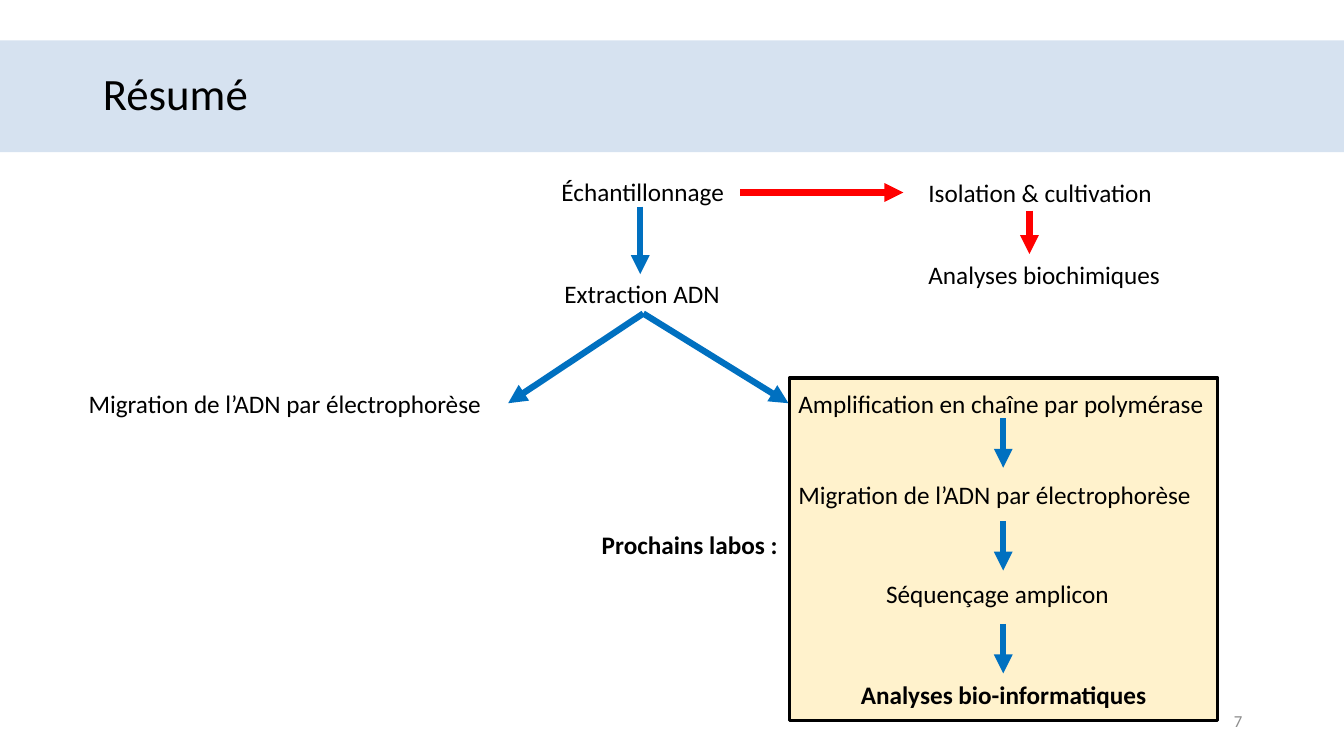
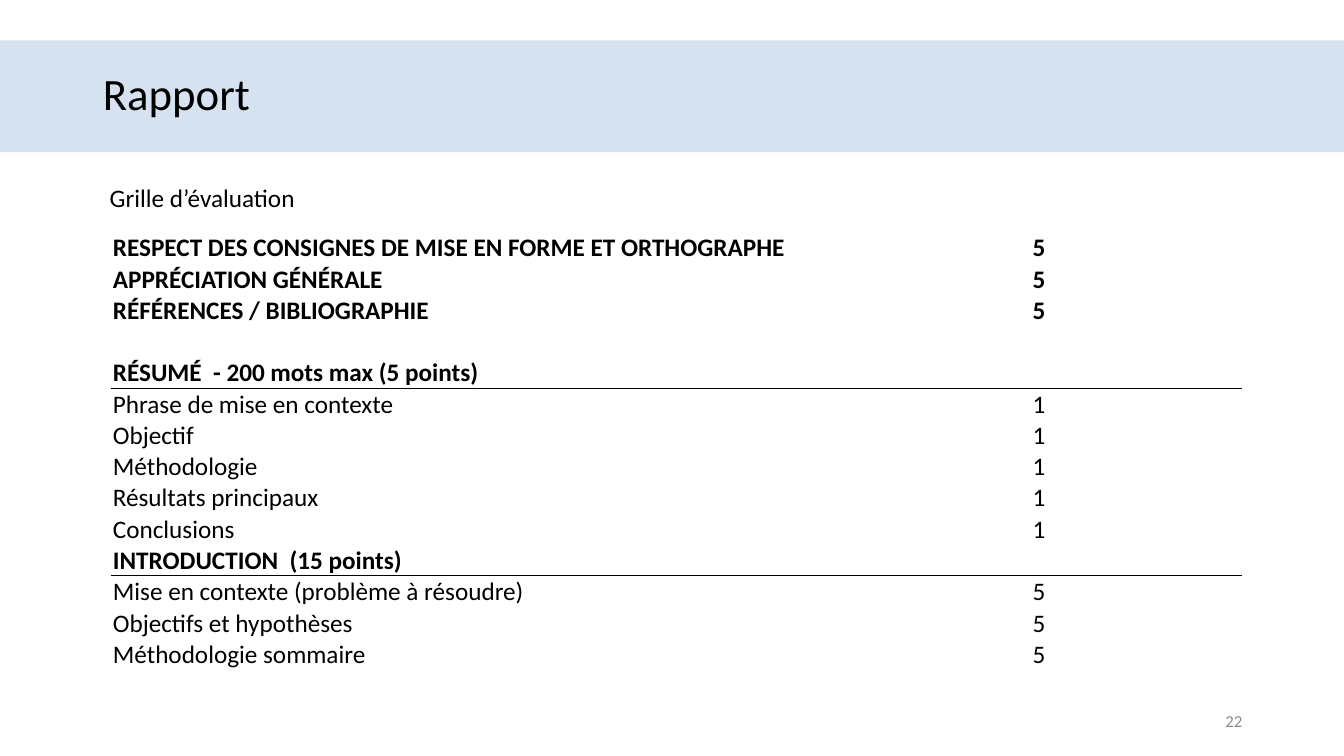
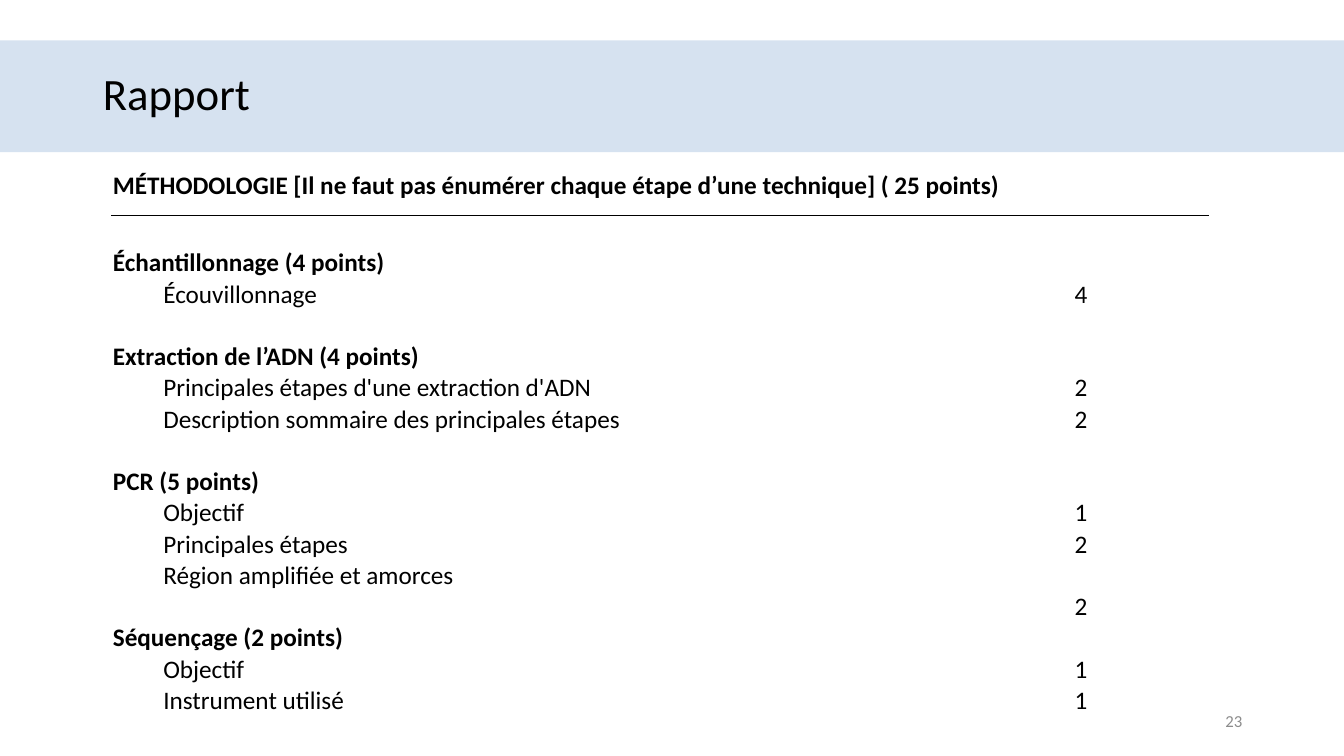
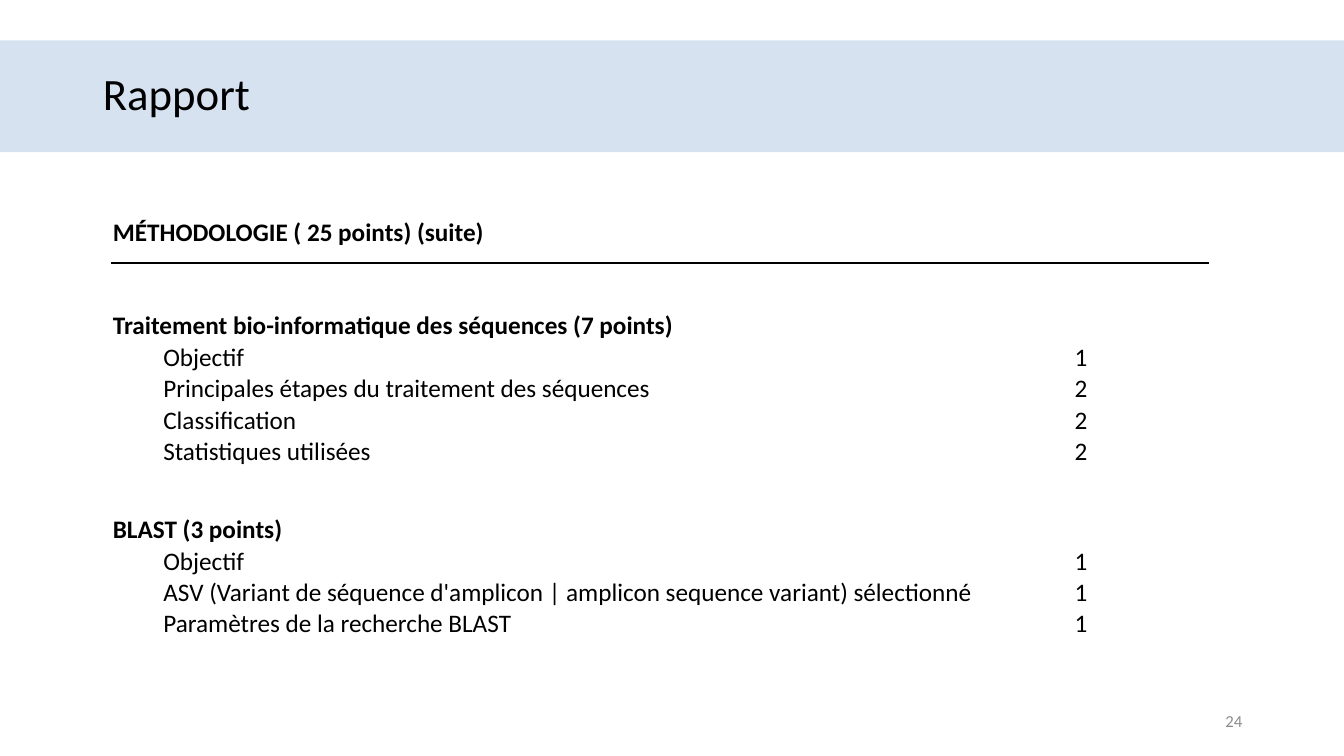
from dataclasses import dataclass

from lxml import etree
from pptx import Presentation
from pptx.dml.color import RGBColor
from pptx.enum.shapes import MSO_CONNECTOR, MSO_SHAPE
from pptx.enum.text import MSO_ANCHOR, MSO_AUTO_SIZE, PP_ALIGN
from pptx.oxml.ns import qn
from pptx.util import Inches, Pt

RECTANGLE = MSO_SHAPE.RECTANGLE
STRAIGHT = MSO_CONNECTOR.STRAIGHT
MIDDLE, BOTTOM, TOP = MSO_ANCHOR.MIDDLE, MSO_ANCHOR.BOTTOM, MSO_ANCHOR.TOP
LEFT, CENTER, RIGHT = PP_ALIGN.LEFT, PP_ALIGN.CENTER, PP_ALIGN.RIGHT
FIT_SHAPE = MSO_AUTO_SIZE.SHAPE_TO_FIT_TEXT
LEFT_SIDE, BOTTOM_SIDE, RIGHT_SIDE = 1, 2, 3

FONT = "Calibri"
COLORS = {
    "band": "AEC7E3",
    "text": "000000",
    "number": "8C8C8C",
    "panel": "FFF2CC",
    "dna": "0070C0",
    "culture": "FF0000",
}
LINE_HEIGHT = 0.31
BAND_BOX = (0, 0.4, 13.33, 1.11)
TITLE_BOX = (0.92, 0.4, 11.5, 1.11)
NUMBER_BOX = (9.42, 6.95, 3, 0.4)


@dataclass
class Row:
    """One line of the marking grid."""

    label: str = ""
    value: str = ""
    bold: bool = False
    ruled: bool = False
    height: float = LINE_HEIGHT
    label_anchor: object = BOTTOM


def color(name):
    """Return a named colour of the palette."""
    return RGBColor.from_string(COLORS[name])


def inches(box):
    """Turn a box of numbers into lengths."""
    return [Inches(length) for length in box]


def add_run(paragraph, text, size=18, bold=False, color_name="text"):
    """Add one formatted run to a paragraph."""
    run = paragraph.add_run()
    run.text = text
    run.font.name = FONT
    run.font.size = Pt(size)
    run.font.bold = bold
    run.font.color.rgb = color(color_name)


def add_rectangle(slide, box, fill_name):
    """Add a plain filled rectangle."""
    shape = slide.shapes.add_shape(RECTANGLE, *inches(box))
    shape.shadow.inherit = False
    shape.fill.solid()
    shape.fill.fore_color.rgb = color(fill_name)
    shape.line.fill.background()
    return shape


def add_label(slide, left, top, width, text, bold=False):
    """Add a one-line label that does not wrap."""
    label = slide.shapes.add_textbox(*inches((left, top, width, 0.4)))
    frame = label.text_frame
    frame.word_wrap = False
    frame.auto_size = FIT_SHAPE
    add_run(frame.paragraphs[0], text, bold=bold)
    return label


def add_arrow(slide, start, end, color_name="dna"):
    """Add a thick straight arrow between two points."""
    arrow = slide.shapes.add_connector(STRAIGHT, *inches(start + end))
    arrow.line.width = Pt(4.5)
    arrow.line.color.rgb = color(color_name)
    etree.SubElement(arrow.line._get_or_add_ln(), qn("a:tailEnd"), type="triangle")
    etree.SubElement(arrow.element.spPr, qn("a:effectLst"))
    return arrow


def add_master_band(presentation, slide):
    """Put the translucent title band on the slide master."""
    band = add_rectangle(slide, BAND_BOX, "band")
    fill_color = band.element.spPr.find(qn("a:solidFill"))[0]
    etree.SubElement(fill_color, qn("a:alpha"), val="50000")
    presentation.slide_master.shapes.element.insert(2, band.element)


def add_titled_slide(presentation, layout, title, number):
    """Add a slide with its title and its number."""
    slide = presentation.slides.add_slide(layout)
    frame = slide.shapes.title.text_frame
    frame.vertical_anchor = MIDDLE
    paragraph = frame.paragraphs[0]
    paragraph.alignment = LEFT
    paragraph.line_spacing = 0.9
    add_run(paragraph, title, size=32)

    number_frame = slide.shapes.add_textbox(*inches(NUMBER_BOX)).text_frame
    number_frame.word_wrap = True
    number_frame.vertical_anchor = MIDDLE
    number_frame.paragraphs[0].alignment = RIGHT
    add_run(number_frame.paragraphs[0], str(number), size=12, color_name="number")
    return slide


def add_next_labs(slide, left, top):
    """Draw the panel of the coming labs and return its first step."""
    panel = add_rectangle(slide, (left, top, 4.25, 3.4), "panel")
    panel.line.color.rgb = color("text")
    panel.line.width = Pt(2.25)
    steps = [
        (-0.01, 0.05, 4.26, "Amplification en chaîne par polymérase"),
        (-0.01, 0.96, 4.26, "Migration de l’ADN par électrophorèse"),
        (0.86, 1.94, 2.56, "Séquençage amplicon"),
        (0.61, 2.94, 3.05, "Analyses bio-informatiques"),
    ]
    labels = [
        add_label(slide, left + x, top + y, width, text, bold=text == steps[-1][-1])
        for x, y, width, text in steps
    ]
    center = left + 2.12
    for index in range(len(steps) - 1):
        start = top + 0.4 + 1.02 * index
        add_arrow(slide, (center, start), (center, start + 0.49))
    add_label(slide, left - 1.96, top + 1.45, 1.96, "Prochains labos :", bold=True)
    return labels[0]


def add_sampling(slide, left, top):
    """Draw sampling, culture and extraction, and return the extraction label."""
    add_label(slide, left, top, 1.91, "Échantillonnage")
    extraction = add_label(slide, left + 0.03, top + 1.01, 1.76, "Extraction ADN")
    add_label(slide, left + 3.64, top + 0.01, 2.45, "Isolation & cultivation")
    add_label(slide, left + 3.64, top + 0.82, 2.52, "Analyses biochimiques")
    for start, end, color_name in [
        ((0.88, 0.35), (0.88, 1.02), "dna"),
        ((1.87, 0.21), (3.49, 0.21), "culture"),
        ((4.74, 0.39), (4.74, 0.82), "culture"),
    ]:
        add_arrow(
            slide,
            (left + start[0], top + start[1]),
            (left + end[0], top + end[1]),
            color_name,
        )
    return extraction


def build_summary(slide):
    """Draw the flow of the lab work."""
    amplification = add_next_labs(slide, 7.83, 3.75)
    extraction = add_sampling(slide, 5.47, 1.7)
    migration = add_label(slide, 0.78, 3.8, 4.26, "Migration de l’ADN par électrophorèse")
    for target, side in [(amplification, LEFT_SIDE), (migration, RIGHT_SIDE)]:
        arrow = add_arrow(slide, (6.38, 3.11), (6.38, 4))
        arrow.begin_connect(extraction, BOTTOM_SIDE)
        arrow.end_connect(target, side)


def add_border(cell, side):
    """Draw a black line on one side of a cell."""
    line = etree.Element(qn(f"a:{side}"), w=str(Pt(1)))
    fill = etree.SubElement(line, qn("a:solidFill"))
    etree.SubElement(fill, qn("a:srgbClr"), val=COLORS["text"])
    cell._tc.get_or_add_tcPr().insert(0, line)


def fill_cell(cell, text, bold, anchor, alignment, indent):
    """Set the text and the look of a grid cell."""
    cell.fill.background()
    cell.vertical_anchor = anchor
    cell.margin_left = Inches(0.01 + indent)
    cell.margin_top = cell.margin_right = Inches(0.01)
    cell.margin_bottom = 0
    if text:
        paragraph = cell.text_frame.paragraphs[0]
        paragraph.alignment = alignment
        add_run(paragraph, text, bold=bold)


def add_grid(slide, left, top, widths, rows, indent=0.0, value_alignment=LEFT):
    """Add a marking grid with a label and a value column."""
    height = sum(row.height for row in rows)
    frame = slide.shapes.add_table(
        len(rows), 2, *inches((left, top, sum(widths), height))
    )
    table = frame.table
    table.first_row = table.horz_banding = False
    for column, width in zip(table.columns, widths):
        column.width = Inches(width)
    for index, row in enumerate(rows):
        table.rows[index].height = Inches(row.height)
        label_cell, value_cell = table.cell(index, 0), table.cell(index, 1)
        label_indent = 0 if row.bold else indent
        label_anchor = MIDDLE if row.ruled else row.label_anchor
        fill_cell(label_cell, row.label, row.bold, label_anchor, LEFT, label_indent)
        fill_cell(value_cell, row.value, row.bold, BOTTOM, value_alignment, 0)
        for cell in (label_cell, value_cell):
            if row.ruled:
                add_border(cell, "lnB")
            if index and rows[index - 1].ruled:
                add_border(cell, "lnT")


def heading(label, height=0.62):
    """Return a bold line without a value."""
    return Row(label, bold=True, height=height)


def section(label, height=0.61):
    """Return a bold line with a rule below it."""
    return Row(label, bold=True, ruled=True, height=height)


def build_general_grid(slide):
    """Fill the slide of general criteria."""
    rows = [
        Row("RESPECT DES CONSIGNES DE MISE EN FORME ET ORTHOGRAPHE", "5", bold=True),
        Row("APPRÉCIATION GÉNÉRALE", "5", bold=True),
        Row("RÉFÉRENCES / BIBLIOGRAPHIE", "5", bold=True),
        Row(),
        section("RÉSUMÉ  - 200 mots max (5 points)", LINE_HEIGHT),
        Row("Phrase de mise en contexte", "1"),
        Row("Objectif", "1"),
        Row("Méthodologie", "1"),
        Row("Résultats principaux", "1"),
        Row("Conclusions", "1"),
        section("INTRODUCTION  (15 points)", LINE_HEIGHT),
        Row("Mise en contexte (problème à résoudre)", "5"),
        Row("Objectifs et hypothèses", "5"),
        Row("Méthodologie sommaire", "5"),
    ]
    add_grid(slide, 1.11, 2.3, (7.19, 4.01), rows, value_alignment=CENTER)
    add_label(slide, 0.99, 1.76, 2.06, "Grille d’évaluation")


def build_method_grid(slide, top, rows):
    """Fill a slide of method criteria."""
    add_grid(slide, 1.11, top, (9.54, 1.34), rows, indent=0.5)


def main():
    """Build and save the presentation."""
    presentation = Presentation()
    presentation.slide_width, presentation.slide_height = Inches(13.33), Inches(7.5)
    layout = presentation.slide_layouts[5]
    title = layout.placeholders[0]
    title.left, title.top, title.width, title.height = inches(TITLE_BOX)

    summary = add_titled_slide(presentation, layout, "Résumé", 7)
    add_master_band(presentation, summary)
    build_summary(summary)

    build_general_grid(add_titled_slide(presentation, layout, "Rapport", 22))

    method_rows = [
        section(
            "MÉTHODOLOGIE [Il ne faut pas énumérer chaque étape d’une technique]"
            " ( 25 points)"
        ),
        heading("Échantillonnage (4 points)"),
        Row("Écouvillonnage", "4"),
        heading("Extraction de l’ADN (4 points)"),
        Row("Principales étapes d'une extraction d'ADN", "2"),
        Row("Description sommaire des principales étapes", "2"),
        heading("PCR (5 points)"),
        Row("Objectif", "1"),
        Row("Principales étapes", "2"),
        Row("Région amplifiée et amorces", "2", height=0.62, label_anchor=TOP),
        heading("Séquençage (2 points)", LINE_HEIGHT),
        Row("Objectif", "1"),
        Row("Instrument utilisé", "1"),
    ]
    method = add_titled_slide(presentation, layout, "Rapport", 23)
    build_method_grid(method, 1.53, method_rows)

    continued_rows = [
        section("MÉTHODOLOGIE ( 25 points) (suite)"),
        heading("Traitement bio-informatique des séquences (7 points)", 0.78),
        Row("Objectif", "1"),
        Row("Principales étapes du traitement des séquences", "2"),
        Row("Classification", "2"),
        Row("Statistiques utilisées", "2"),
        heading("BLAST (3 points)", 0.78),
        Row("Objectif", "1"),
        Row(
            "ASV (Variant de séquence d'amplicon | amplicon sequence variant)"
            " sélectionné",
            "1",
        ),
        Row("Paramètres de la recherche BLAST", "1"),
    ]
    continued = add_titled_slide(presentation, layout, "Rapport", 24)
    build_method_grid(continued, 2, continued_rows)

    presentation.save("out.pptx")


if __name__ == "__main__":
    main()
